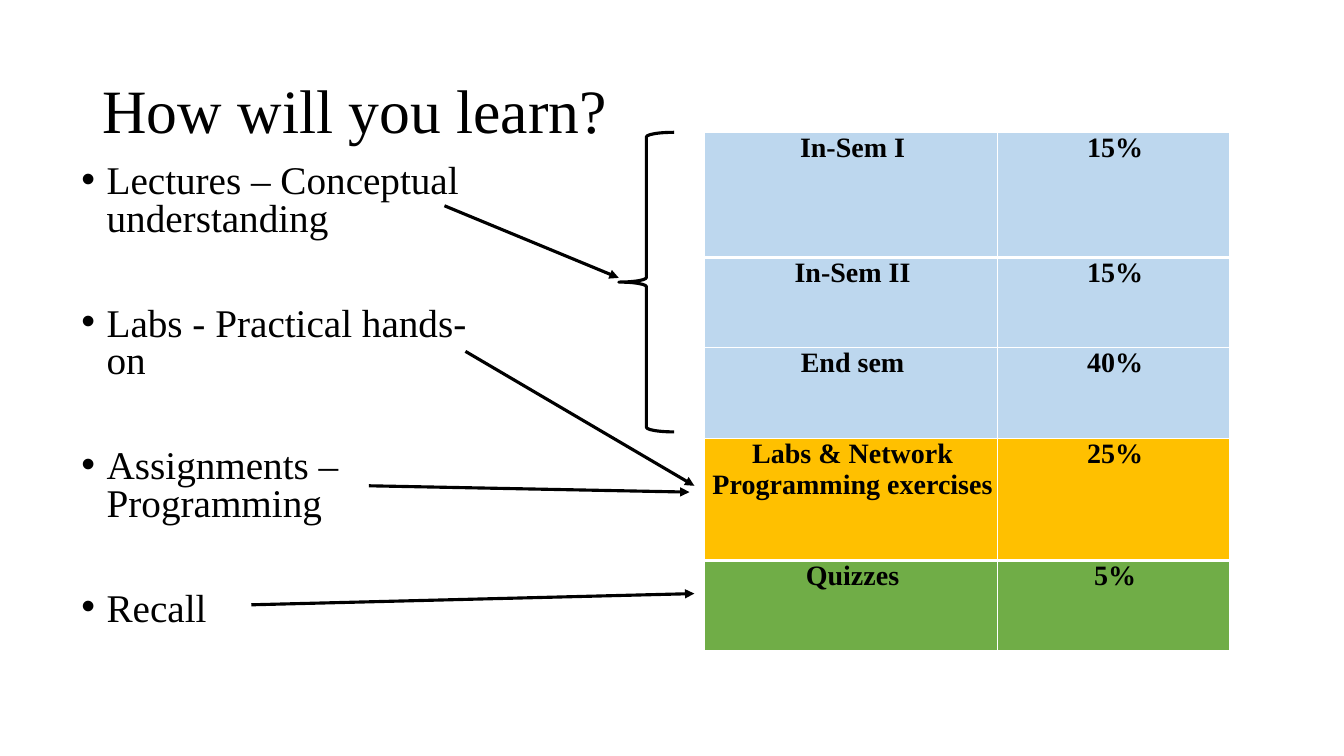
import dataclasses
from typing import Optional

import lxml.etree
import pptx
import pptx.dml.color
import pptx.enum.shapes
import pptx.enum.text
import pptx.oxml
import pptx.oxml.ns
import pptx.util

Pt = pptx.util.Pt
RGB = pptx.dml.color.RGBColor
Align = pptx.enum.text.PP_ALIGN
Anchor = pptx.enum.text.MSO_ANCHOR


@dataclasses.dataclass(frozen=True)
class Theme:
    font: str = "Times New Roman"
    ink: str = "000000"
    border: str = "FFFFFF"
    exam: str = "BDD7EE"
    lab: str = "FFC000"
    quiz: str = "70AD47"
    title_size: float = 44
    list_size: float = 28
    table_size: float = 20
    stroke: float = 2.25
    thin_border: float = 1
    thick_border: float = 3


THEME = Theme()


@dataclasses.dataclass(frozen=True)
class Assessment:
    name: str
    weight: str
    color: str
    height: float
    top_border: float = THEME.thin_border
    bottom_border: float = THEME.thin_border


@dataclasses.dataclass(frozen=True)
class Arrow:
    start: tuple[float, float]
    end: tuple[float, float]


METHODS = [
    "Lectures – Conceptual understanding",
    "Labs - Practical hands-on",
    "Assignments – Programming",
    "Recall",
]
ASSESSMENTS = [
    Assessment("In-Sem I", "15%", THEME.exam, 89.5, bottom_border=THEME.thick_border),
    Assessment("In-Sem II", "15%", THEME.exam, 64.5, top_border=THEME.thick_border),
    Assessment("End sem", "40%", THEME.exam, 64.5),
    Assessment("Labs & Network Programming exercises", "25%", THEME.lab, 87.5,
               bottom_border=THEME.thick_border),
    Assessment("Quizzes", "5%", THEME.quiz, 64.5, top_border=THEME.thick_border),
]
COLUMN_WIDTHS = [209, 166]
ARROWS = [
    Arrow((317.5, 147), (442, 198.5)),
    Arrow((332.5, 251), (496, 347)),
    Arrow((263.5, 347), (492.5, 351.5)),
    Arrow((179.5, 432), (496, 424)),
]


def child(parent, tag: str, **attributes: str):
    """Append a DrawingML element to its parent."""
    return lxml.etree.SubElement(parent, pptx.oxml.ns.qn(tag), attributes)


def write(frame, lines: list[str], *, size: float, align: Align = Align.LEFT,
          anchor: Anchor = Anchor.TOP, bold: bool = False, line_spacing: float = 1,
          gap: float = 0, margin: float = 0, indent: float = 0,
          bullet: Optional[str] = None) -> None:
    """Write one paragraph per line; gap is the space between paragraphs."""
    frame.word_wrap = True
    frame.vertical_anchor = anchor
    for index, line in enumerate(lines):
        para = frame.paragraphs[0] if index == 0 else frame.add_paragraph()
        properties = para._p.get_or_add_pPr()
        properties.set("marL", str(Pt(margin)))
        properties.set("indent", str(Pt(indent)))
        if bullet:
            child(properties, "a:buFont", typeface="Arial")
            child(properties, "a:buChar", char=bullet)
        para.alignment = align
        para.line_spacing = line_spacing
        para.space_before = Pt(gap if index else 0)
        span = para.add_run()
        span.text = line
        span.font.name = THEME.font
        span.font.size = Pt(size)
        span.font.bold = bold
        span.font.color.rgb = RGB.from_string(THEME.ink)


def place(box, left: float, top: float, width: float, height: float) -> None:
    box.left, box.top = Pt(left), Pt(top)
    box.width, box.height = Pt(width), Pt(height)
    box.text_frame.auto_size = pptx.enum.text.MSO_AUTO_SIZE.NONE


def set_borders(cell, top: float, bottom: float) -> None:
    thin = THEME.thin_border
    properties = cell._tc.get_or_add_tcPr()
    for side, width in zip("LRTB", (thin, thin, top, bottom)):
        edge = child(properties, f"a:ln{side}", w=str(Pt(width)))
        child(child(edge, "a:solidFill"), "a:srgbClr", val=THEME.border)


def add_assessment_table(page) -> None:
    table = page.shapes.add_table(
        len(ASSESSMENTS), len(COLUMN_WIDTHS), Pt(503.5), Pt(94.5),
        Pt(sum(COLUMN_WIDTHS)), Pt(sum(item.height for item in ASSESSMENTS))).table
    for column, width in zip(table.columns, COLUMN_WIDTHS):
        column.width = Pt(width)
    for row, item in zip(table.rows, ASSESSMENTS):
        row.height = Pt(item.height)
        for cell, text in zip(row.cells, (item.name, item.weight)):
            cell.margin_left = cell.margin_right = Pt(0)
            cell.margin_top = cell.margin_bottom = Pt(0)
            write(cell.text_frame, [text], size=THEME.table_size,
                  align=Align.CENTER, bold=True, margin=2)
            set_borders(cell, item.top_border, item.bottom_border)
            cell.fill.solid()
            cell.fill.fore_color.rgb = RGB.from_string(item.color)


def set_stroke(line) -> None:
    line.color.rgb = RGB.from_string(THEME.ink)
    line.width = Pt(THEME.stroke)


def add_exam_brace(page) -> None:
    brace = page.shapes.add_shape(pptx.enum.shapes.MSO_SHAPE.LEFT_BRACE,
                                  Pt(442), Pt(94.5), Pt(39.5), Pt(214))
    brace.shadow.inherit = False
    brace.fill.background()
    set_stroke(brace.line)


def add_arrow(page, arrow: Arrow) -> None:
    connector = page.shapes.add_connector(
        pptx.enum.shapes.MSO_CONNECTOR.STRAIGHT,
        *map(Pt, arrow.start), *map(Pt, arrow.end))
    set_stroke(connector.line)
    child(connector.line._get_or_add_ln(), "a:tailEnd", type="triangle")
    child(connector._element.spPr, "a:effectLst")


def main() -> None:
    deck = pptx.Presentation()
    deck.slide_width, deck.slide_height = Pt(960), Pt(540)
    page = deck.slides.add_slide(deck.slide_layouts[1])

    title = page.shapes.title
    place(title, 66, 29, 828, 104.5)
    write(title.text_frame, ["How will you learn?"], size=THEME.title_size,
          anchor=Anchor.MIDDLE, line_spacing=0.9)

    methods = page.placeholders[1]
    place(methods, 51, 114, 306, 342.5)
    write(methods.text_frame, METHODS, size=THEME.list_size, line_spacing=0.8,
          gap=48, margin=18, indent=-18, bullet="•")

    add_assessment_table(page)
    add_exam_brace(page)
    for arrow in ARROWS:
        add_arrow(page, arrow)
    deck.save("out.pptx")


if __name__ == "__main__":
    main()
